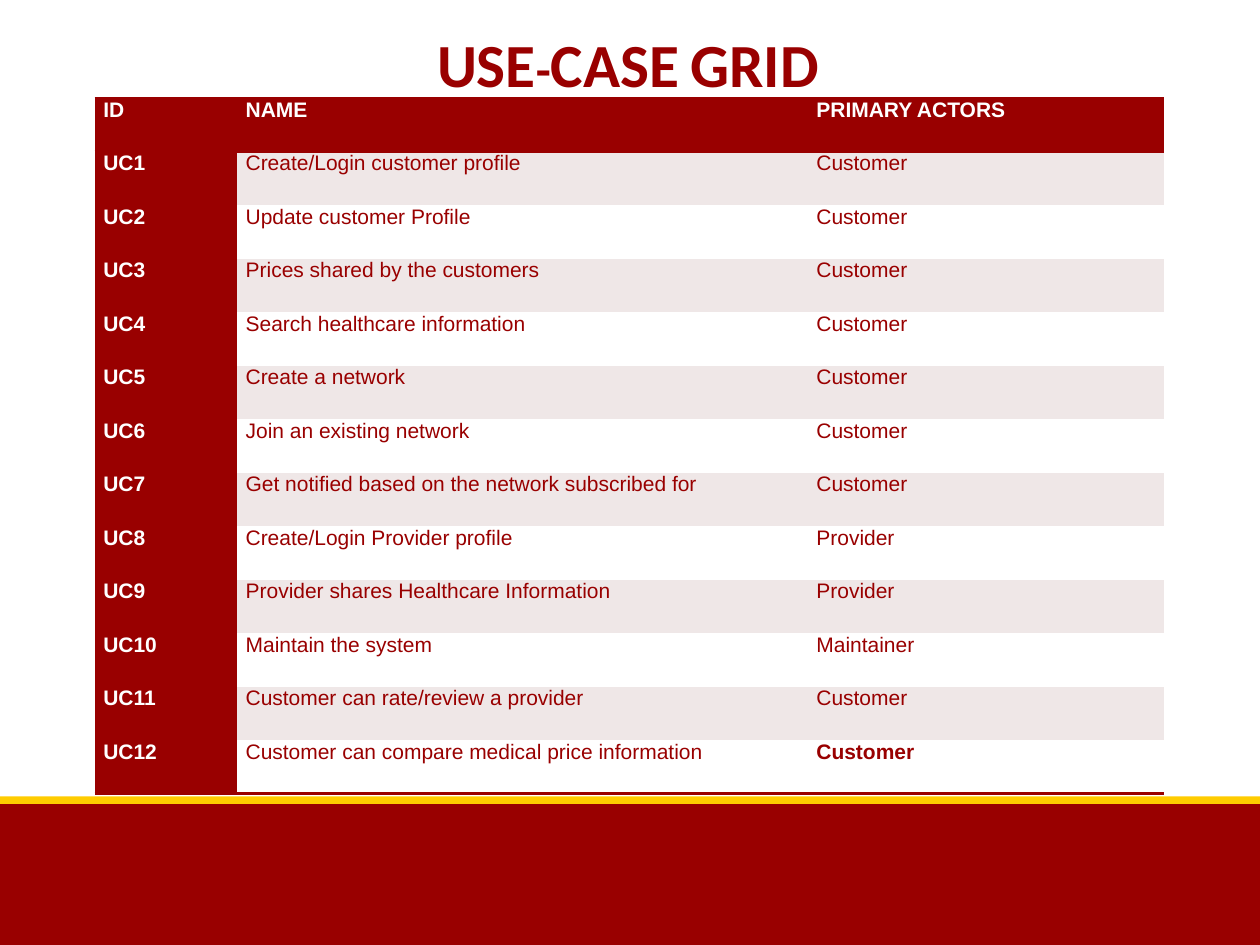
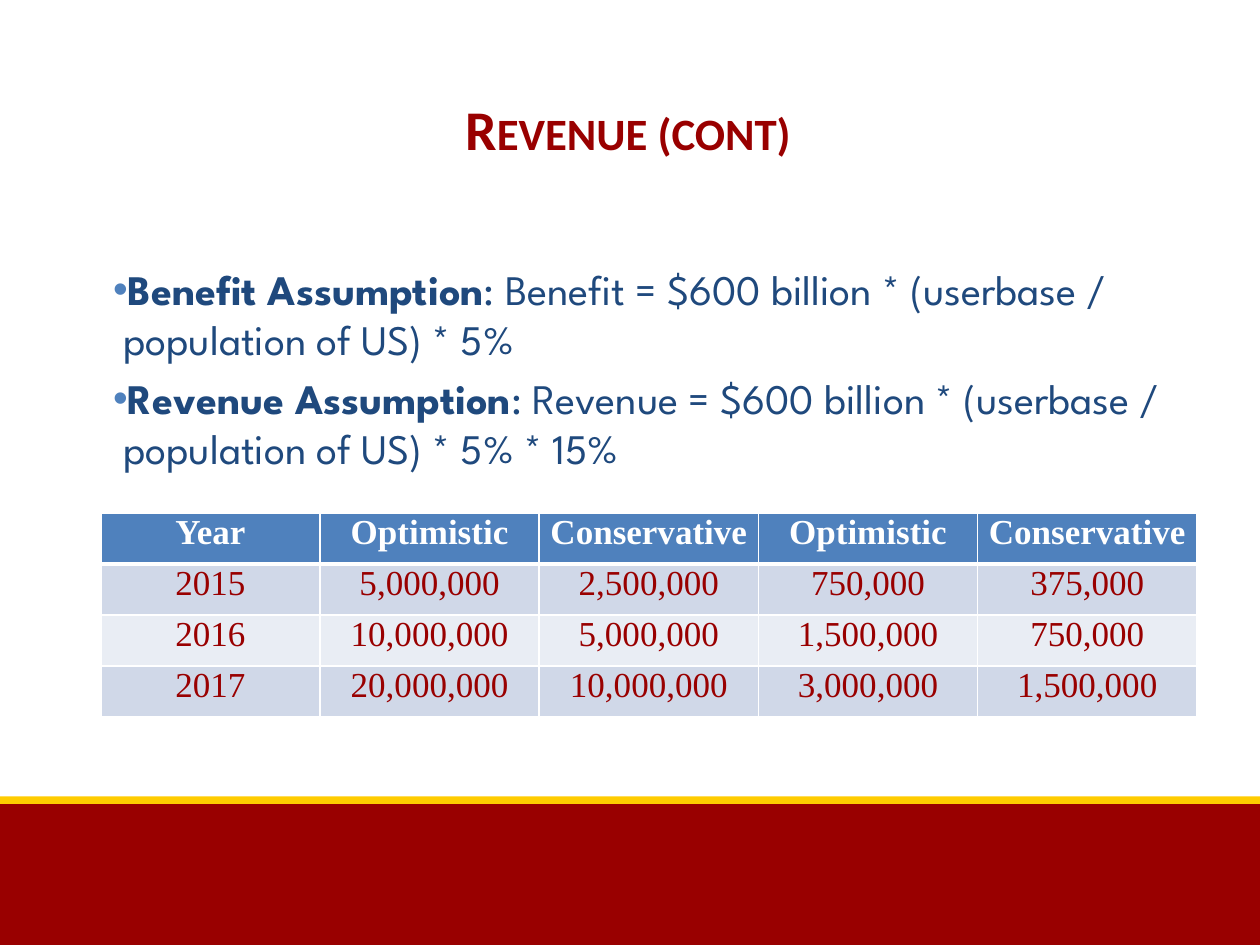
from lxml import etree
from pptx import Presentation
from pptx.dml.color import RGBColor
from pptx.enum.shapes import MSO_SHAPE
from pptx.enum.text import MSO_ANCHOR, PP_ALIGN
from pptx.oxml.ns import qn
from pptx.util import Inches, Pt

RECT = MSO_SHAPE.RECTANGLE
LEFT, CENTER = PP_ALIGN.LEFT, PP_ALIGN.CENTER
TOP, MIDDLE = MSO_ANCHOR.TOP, MSO_ANCHOR.MIDDLE

RED, GOLD, WHITE = "990000", "FFCC00", "FFFFFF"
BLUE, NAVY = "4F81BD", "1F497D"
PINK = "EFE7E7"
BLUE_BANDS = ("D0D8E8", "E9EDF4")
NO_TABLE_STYLE = "{2D5ABB26-0587-4C30-8999-92F81FD0307C}"

USE_CASES = [
    ("Create/Login customer profile", "Customer"),
    ("Update customer Profile", "Customer"),
    ("Prices shared by the customers", "Customer"),
    ("Search healthcare information", "Customer"),
    ("Create a network", "Customer"),
    ("Join an existing network", "Customer"),
    ("Get notified based on the network subscribed for", "Customer"),
    ("Create/Login Provider profile", "Provider"),
    ("Provider shares Healthcare Information", "Provider"),
    ("Maintain the system", "Maintainer"),
    ("Customer can rate/review a provider", "Customer"),
    ("Customer can compare medical price information", "Customer"),
]
ASSUMPTIONS = [
    ("Benefit Assumption",
     ": Benefit = $600 billion * (userbase / population of US) * 5%"),
    ("Revenue Assumption",
     ": Revenue = $600 billion * (userbase / population of US) * 5% * 15%"),
]
REVENUE = [
    ("Year", "Optimistic", "Conservative", "Optimistic", "Conservative"),
    ("2015", "5,000,000", "2,500,000", "750,000", "375,000"),
    ("2016", "10,000,000", "5,000,000", "1,500,000", "750,000"),
    ("2017", "20,000,000", "10,000,000", "3,000,000", "1,500,000"),
]


def rgb(color):
    return RGBColor.from_string(color)


def add_run(p, text, *, size, font, color, bold=False, small_caps=False):
    r = p.add_run()
    r.text = text
    r.font.size = Pt(size)
    r.font.name = font
    r.font.bold = bold
    r.font.color.rgb = rgb(color)
    if small_caps:
        r.font._element.set("cap", "small")


def add_bullet(p, color, left, hanging):
    pPr = p._p.get_or_add_pPr()
    pPr.set("marL", str(Inches(left)))
    pPr.set("indent", str(-Inches(hanging)))
    clr = etree.SubElement(pPr, qn("a:buClr"))
    etree.SubElement(clr, qn("a:srgbClr"), val=color)
    etree.SubElement(pPr, qn("a:buFont"), typeface="Arial")
    etree.SubElement(pPr, qn("a:buChar"), char="•")


def set_borders(cell, borders):
    """Draw borders given as {side: (color, points)}, sides being L, R, T, B."""
    tcPr = cell._tc.get_or_add_tcPr()
    for side in "LRTB":
        if side in borders:
            color, width = borders[side]
            ln = etree.SubElement(tcPr, qn(f"a:ln{side}"), w=str(Pt(width)))
            fill = etree.SubElement(ln, qn("a:solidFill"))
            etree.SubElement(fill, qn("a:srgbClr"), val=color)


class Deck:
    def __init__(self):
        self.prs = Presentation()
        self.prs.slide_width = Inches(10)
        self.prs.slide_height = Inches(7.5)
        self.s = None

    def add_slide(self):
        """Start a slide with the shared footer bands."""
        self.s = self.prs.slides.add_slide(self.prs.slide_layouts[6])
        self.band(6.35, 1.15, RED)
        self.band(6.32, 0.06, GOLD)

    def band(self, top, height, color):
        sp = self.s.shapes.add_shape(RECT, 0, Inches(top), Inches(10), Inches(height))
        sp.shadow.inherit = False
        sp.fill.solid()
        sp.fill.fore_color.rgb = rgb(color)
        sp.line.fill.background()

    def text_frame(self, left, top, width, height, *, anchor=TOP, top_inset=0.1):
        box = self.s.shapes.add_textbox(
            Inches(left), Inches(top), Inches(width), Inches(height))
        tf = box.text_frame
        tf.word_wrap = True
        tf.vertical_anchor = anchor
        tf.margin_left = tf.margin_right = tf.margin_bottom = Inches(0.1)
        tf.margin_top = Inches(top_inset)
        return tf

    def title(self, text, top, height, size, **frame):
        p = self.text_frame(0.47, top, 9.03, height, **frame).paragraphs[0]
        p.alignment = CENTER
        add_run(p, text, size=size, font="Calibri", color=RED, bold=True,
                small_caps=True)

    def bullets(self, items, left, top, width, height):
        """Write (bold lead, rest) pairs as bulleted paragraphs."""
        tf = self.text_frame(left, top, width, height, top_inset=0.17)
        for i, (lead, rest) in enumerate(items):
            p = tf.add_paragraph() if i else tf.paragraphs[0]
            if i:
                p.space_before = Pt(4.8)
            add_bullet(p, BLUE, 0.38, 0.08)
            for text, bold in ((lead, True), (rest, False)):
                add_run(p, text, size=24, font="League Spartan", color=NAVY, bold=bold)

    def table(self, rows, left, top, widths, height, style, *, size, font, align=LEFT):
        """Add a table; style(row, col) gives fill, text colour, bold and borders."""
        table = self.s.shapes.add_table(
            len(rows), len(widths), Inches(left), Inches(top),
            Inches(sum(widths)), Inches(height)).table
        table._tbl.tblPr.find(qn("a:tableStyleId")).text = NO_TABLE_STYLE
        table.horz_banding = False
        for column, width in zip(table.columns, widths):
            column.width = Inches(width)
        for i, row in enumerate(rows):
            table.rows[i].height = Inches(height / len(rows))
            for j, text in enumerate(row):
                fill, color, bold, borders = style(i, j)
                cell = table.cell(i, j)
                cell.margin_left = cell.margin_right = Inches(0.07)
                cell.margin_top = cell.margin_bottom = 0
                set_borders(cell, borders)
                cell.fill.solid()
                cell.fill.fore_color.rgb = rgb(fill)
                p = cell.text_frame.paragraphs[0]
                p.alignment = align
                add_run(p, text, size=size, font=font, color=color, bold=bold)


def use_case_style(row, col):
    last = len(USE_CASES)
    rule = (RED, 2)
    borders = {0: {"T": rule, "B": rule}, last: {"B": rule}}.get(row, {})
    if row == 0 or col == 0:
        return RED, WHITE, True, borders
    return PINK if row % 2 else WHITE, RED, (row, col) == (last, 2), borders


def revenue_style(row, col):
    borders = dict.fromkeys("LRTB", (WHITE, 1))
    if row == 0:
        return BLUE, WHITE, True, borders | {"B": (WHITE, 3)}
    return BLUE_BANDS[(row - 1) % 2], RED, False, borders


def use_case_slide(deck):
    deck.add_slide()
    deck.title("USE-CASE GRID", 0.07, 1.4, 35, top_inset=0.14)
    rows = [("ID", "NAME", "PRIMARY ACTORS")]
    rows += [(f"UC{n}", *case) for n, case in enumerate(USE_CASES, 1)]
    deck.table(rows, 0.75, 0.78, (1.13, 4.53, 2.83), 5.52, use_case_style,
               size=12, font="Arial")


def revenue_slide(deck):
    deck.add_slide()
    deck.title("Revenue (cont)", 0.45, 1.14, 32, anchor=MIDDLE)
    deck.bullets(ASSUMPTIONS, 0.5, 1.92, 9, 4.78)
    deck.table(REVENUE, 0.8, 4.07, [1.74] * 5, 1.62, revenue_style,
               size=20, font="Times New Roman", align=CENTER)


def main():
    deck = Deck()
    use_case_slide(deck)
    revenue_slide(deck)
    deck.prs.save("out.pptx")


if __name__ == "__main__":
    main()
